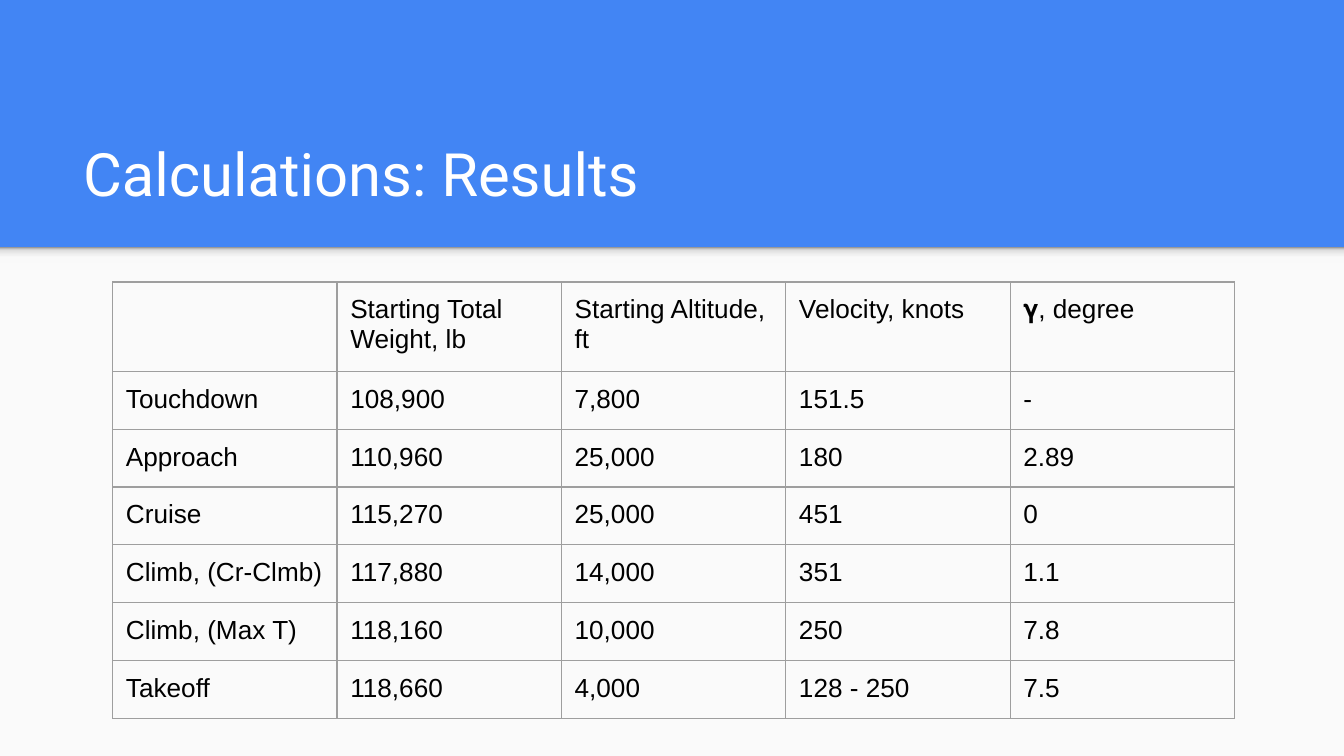
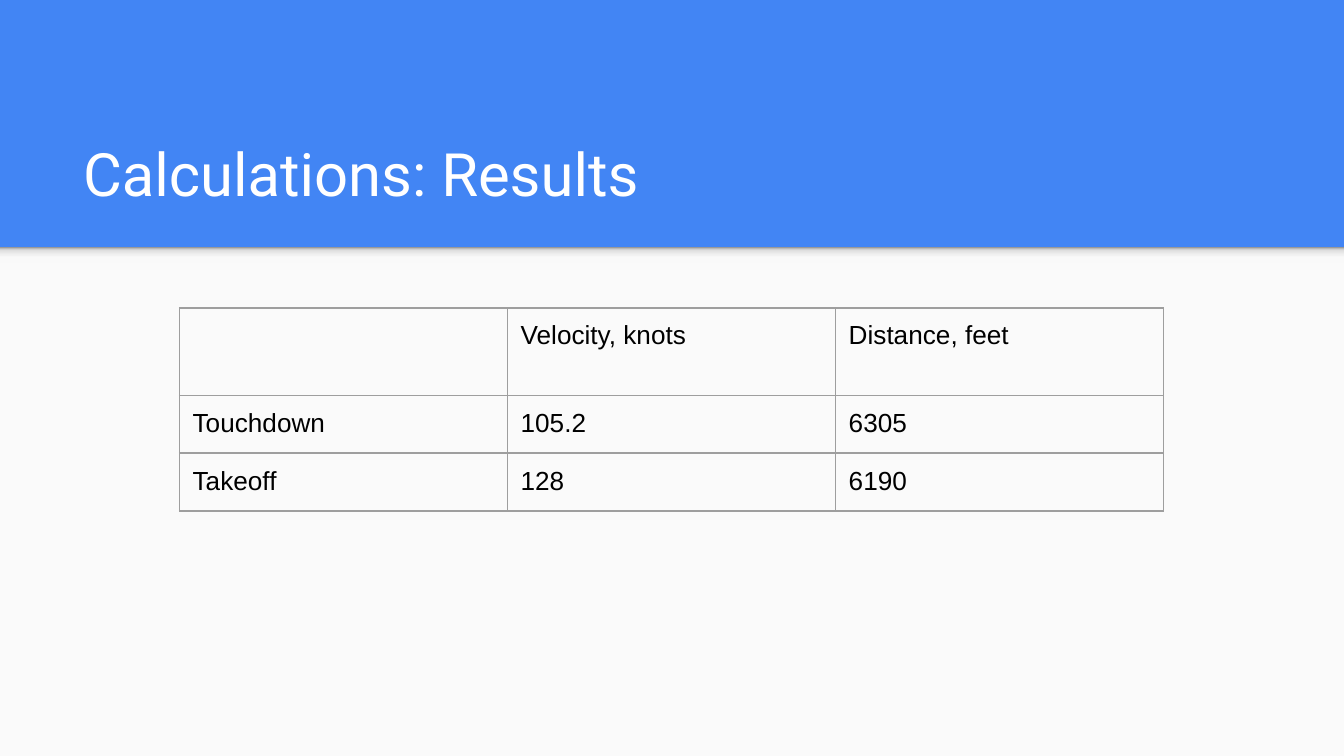
"""Build two slides that present the flight calculation results as tables."""
from lxml.etree import SubElement
from pptx import Presentation
from pptx.dml.color import RGBColor
from pptx.enum.shapes import MSO_SHAPE
from pptx.enum.text import MSO_ANCHOR
from pptx.oxml.ns import qn
from pptx.util import Cm, Pt

TITLE = "Calculations: Results"
RESULTS = [
    {
        "left": 2.13, "top": 5.33, "column_width": 4.24,
        "rows": [
            ("", "Starting Total Weight, lb", "Starting Altitude, ft", "Velocity, knots", "𝛄, degree"),
            ("Touchdown", "108,900", "7,800", "151.5", "-"),
            ("Approach", "110,960", "25,000", "180", "2.89"),
            ("Cruise", "115,270", "25,000", "451", "0"),
            ("Climb, (Cr-Clmb)", "117,880", "14,000", "351", "1.1"),
            ("Climb, (Max T)", "118,160", "10,000", "250", "7.8"),
            ("Takeoff", "118,660", "4,000", "128 - 250", "7.5"),
        ],
    },
    {
        "left": 3.39, "top": 5.82, "column_width": 6.2,
        "rows": [
            ("", "Velocity, knots", "Distance, feet"),
            ("Touchdown", "105.2", "6305"),
            ("Takeoff", "128", "6190"),
        ],
    },
]

COLORS = {
    "header": "4285F4", "panel": "FAFAFA", "title": "FFFFFF",
    "text": "000000", "border": "9E9E9E",
}
SHADOW_STOPS = [(0, "F9F9F9"), (36, "F9F9F9"), (80, "DEDEDE"), (100, "999999")]
TITLE_FONT = {"name": "Roboto", "size": Pt(32)}
CELL_FONT = {"name": "Arial", "size": Pt(14)}
MARGINS = {f"margin_{side}": Cm(0.25) for side in ("left", "top", "right", "bottom")}

SLIDE_WIDTH, SLIDE_HEIGHT = 25.4, 14.29
HEADER_HEIGHT, SHADOW_HEIGHT = 4.67, 0.3
HEADING_ROW, BODY_ROW = 1.65, 1.08
BORDER_WIDTH = Pt(0.75)


def set_attributes(target, values):
    for name, value in values.items():
        setattr(target, name, value)


def write(text_frame, text, font, color):
    run = text_frame.paragraphs[0].add_run()
    run.text = text
    set_attributes(run.font, font)
    run.font.color.rgb = RGBColor.from_string(COLORS[color])


def add_band(slide, top, height):
    band = slide.shapes.add_shape(
        MSO_SHAPE.RECTANGLE, 0, Cm(top), Cm(SLIDE_WIDTH), Cm(height))
    band.shadow.inherit = False
    band.line.fill.background()
    return band


def fill_shadow(band):
    band.fill.gradient()
    band.fill.gradient_angle = 90
    stops = next(band._element.spPr.iter(qn("a:gsLst")))
    stops.clear()
    for position, color in SHADOW_STOPS:
        stop = SubElement(stops, qn("a:gs"), pos=str(position * 1000))
        SubElement(stop, qn("a:srgbClr"), val=color)


def add_frame(slide):
    background = slide.background.fill
    background.solid()
    background.fore_color.rgb = RGBColor.from_string(COLORS["header"])
    panel = add_band(slide, HEADER_HEIGHT, SLIDE_HEIGHT - HEADER_HEIGHT)
    panel.fill.solid()
    panel.fill.fore_color.rgb = RGBColor.from_string(COLORS["panel"])
    fill_shadow(add_band(slide, HEADER_HEIGHT, SHADOW_HEIGHT))
    title = slide.shapes.add_textbox(Cm(1.32), Cm(2.06), Cm(22.83), Cm(2.13)).text_frame
    set_attributes(title, {**MARGINS, "word_wrap": True, "vertical_anchor": MSO_ANCHOR.BOTTOM})
    write(title, TITLE, TITLE_FONT, "title")


def add_borders(cell):
    properties = cell._tc.get_or_add_tcPr()
    for side in ("lnL", "lnR", "lnT", "lnB"):
        line = SubElement(properties, qn(f"a:{side}"), w=str(BORDER_WIDTH))
        fill = SubElement(line, qn("a:solidFill"))
        SubElement(fill, qn("a:srgbClr"), val=COLORS["border"])


def add_results(slide, left, top, column_width, rows):
    heights = [HEADING_ROW] + [BODY_ROW] * (len(rows) - 1)
    column_count = len(rows[0])
    table = slide.shapes.add_table(
        len(rows), column_count, Cm(left), Cm(top),
        Cm(column_width * column_count), Cm(sum(heights))).table
    set_attributes(table, {"first_row": False, "horz_banding": False})
    for column in table.columns:
        column.width = Cm(column_width)
    for row, height, texts in zip(table.rows, heights, rows):
        row.height = Cm(height)
        for cell, text in zip(row.cells, texts):
            set_attributes(cell, MARGINS)
            add_borders(cell)
            cell.fill.background()
            if text:
                write(cell.text_frame, text, CELL_FONT, "text")


def main():
    presentation = Presentation()
    presentation.slide_width = Cm(SLIDE_WIDTH)
    presentation.slide_height = Cm(SLIDE_HEIGHT)
    for result in RESULTS:
        slide = presentation.slides.add_slide(presentation.slide_layouts[6])
        add_frame(slide)
        add_results(slide, **result)
    presentation.save("out.pptx")


if __name__ == "__main__":
    main()
